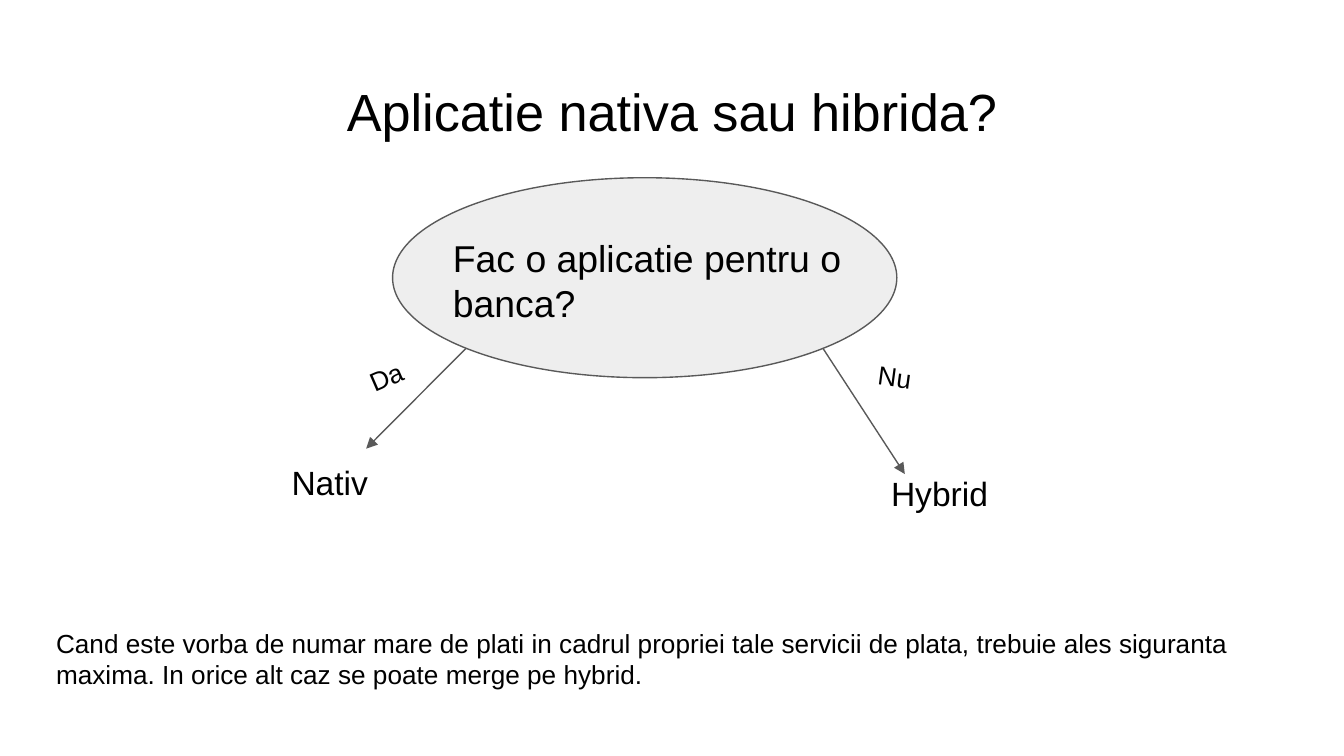
"""Build a decision slide about native and hybrid applications."""
from lxml import etree
from pptx import Presentation
from pptx import util as u
from pptx.dml.color import RGBColor
from pptx.enum import shapes, text
from pptx.oxml import ns

BLACK = RGBColor(0x00, 0x00, 0x00)
GRAY = RGBColor(0x59, 0x59, 0x59)
LIGHT = RGBColor(0xEE, 0xEE, 0xEE)
INSET = u.Cm(0.25)
FRAME_FORMAT = {
    "margin_left": INSET, "margin_top": INSET,
    "margin_right": INSET, "margin_bottom": INSET,
    "word_wrap": True,
    "auto_size": text.MSO_AUTO_SIZE.NONE,
    "vertical_anchor": text.MSO_ANCHOR.TOP,
}


def set_values(target, values):
    """Set each named attribute of the target."""
    for name, value in values.items():
        setattr(target, name, value)


def lengths(values):
    """Turn centimetre values into lengths."""
    return [u.Cm(value) for value in values]


def write_text(shape, words, size, align=text.PP_ALIGN.LEFT):
    """Write one formatted paragraph into a shape."""
    set_values(shape.text_frame, FRAME_FORMAT)
    paragraph = shape.text_frame.paragraphs[0]
    paragraph.alignment = align
    run = paragraph.add_run()
    run.text = words
    set_values(run.font, {"name": "Arial", "size": u.Pt(size)})
    run.font.color.rgb = BLACK


def add_title(slide, words, box):
    """Place and fill the title placeholder."""
    title = slide.shapes.title
    set_values(title, dict(zip(("left", "top", "width", "height"), lengths(box))))
    write_text(title, words, 28, text.PP_ALIGN.CENTER)


def add_label(slide, words, box, size, rotation=0):
    """Add a text box, turned if needed."""
    label = slide.shapes.add_textbox(*lengths(box))
    label.rotation = rotation
    write_text(label, words, size)


def set_line(line):
    """Give a line the thin gray style."""
    line.color.rgb = GRAY
    line.width = u.Pt(0.75)


def add_ellipse(slide, box):
    """Add the question bubble."""
    ellipse = slide.shapes.add_shape(shapes.MSO_SHAPE.OVAL, *lengths(box))
    ellipse.shadow.inherit = False
    ellipse.fill.solid()
    ellipse.fill.fore_color.rgb = LIGHT
    set_line(ellipse.line)


def add_arrow(slide, points):
    """Add a straight arrow with a triangle at its end."""
    arrow = slide.shapes.add_connector(shapes.MSO_CONNECTOR.STRAIGHT, *lengths(points))
    set_line(arrow.line)
    etree.SubElement(arrow.line._get_or_add_ln(), ns.qn("a:tailEnd"), type="triangle")
    etree.SubElement(arrow._element.spPr, ns.qn("a:effectLst"))


def main():
    """Build and save the presentation."""
    presentation = Presentation()
    set_values(presentation, {"slide_width": u.Cm(25.4), "slide_height": u.Cm(14.29)})
    slide = presentation.slides.add_slide(presentation.slide_layouts[5])
    add_title(slide, "Aplicatie nativa sau hibrida?", (0.86, 1.24, 23.67, 1.6))
    add_ellipse(slide, (7.42, 3.36, 9.53, 3.78))
    add_label(slide, "Fac o aplicatie pentru o banca?", (8.31, 4.19, 7.98, 1.32), 20)
    for points in ((8.81, 6.58, 6.92, 8.48), (15.55, 6.58, 17.1, 8.96)):
        add_arrow(slide, points)
    add_label(slide, "Da", (6.76, 6.48, 1.55, 1.32), 14, 336.5)
    add_label(slide, "Nativ", (5.26, 8.48, 3.73, 1.32), 18)
    add_label(slide, "Hybrid", (16.59, 8.69, 3.73, 1.32), 18)
    add_label(slide, "Nu", (16.33, 6.6, 1.55, 1.32), 14, 7.8)
    add_label(
        slide,
        "Cand este vorba de numar mare de plati in cadrul propriei tale servicii de plata, "
        "trebuie ales siguranta maxima. In orice alt caz se poate merge pe hybrid.",
        (0.81, 11.61, 23.42, 1.83), 14,
    )
    presentation.save("out.pptx")


main()
